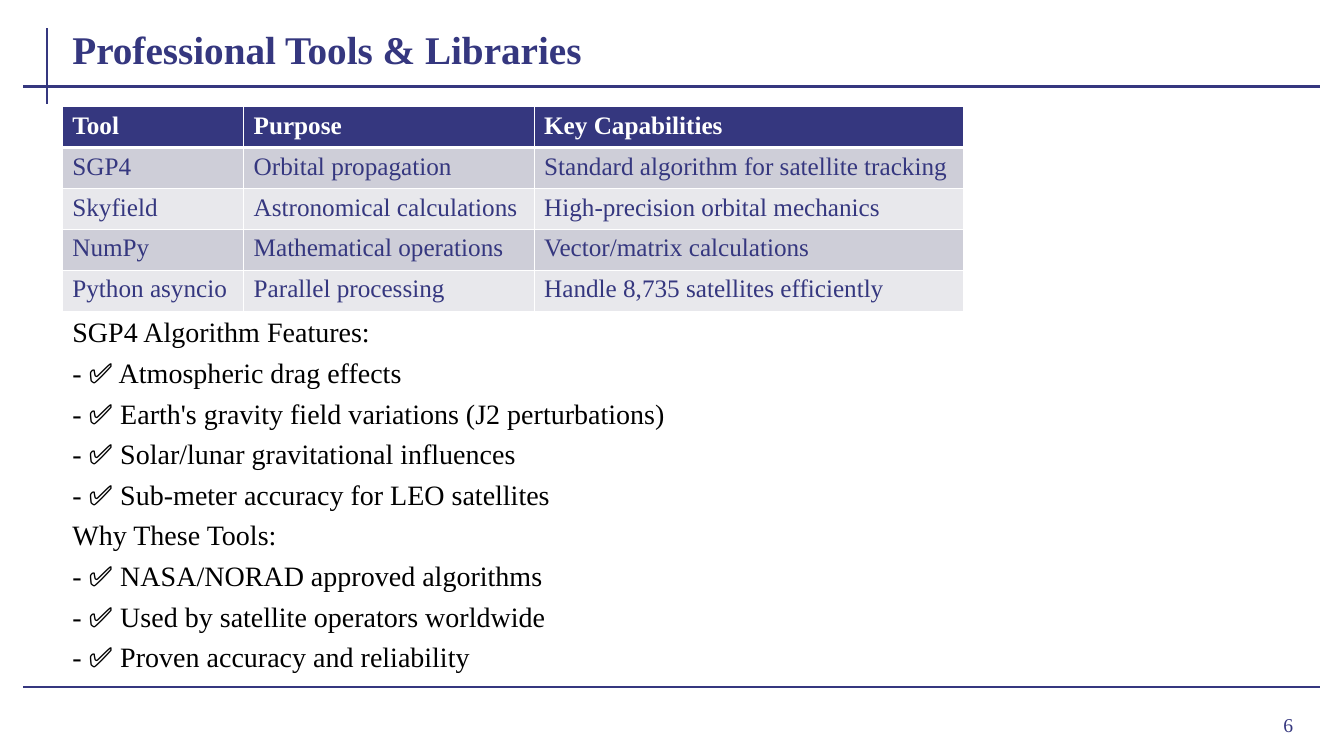
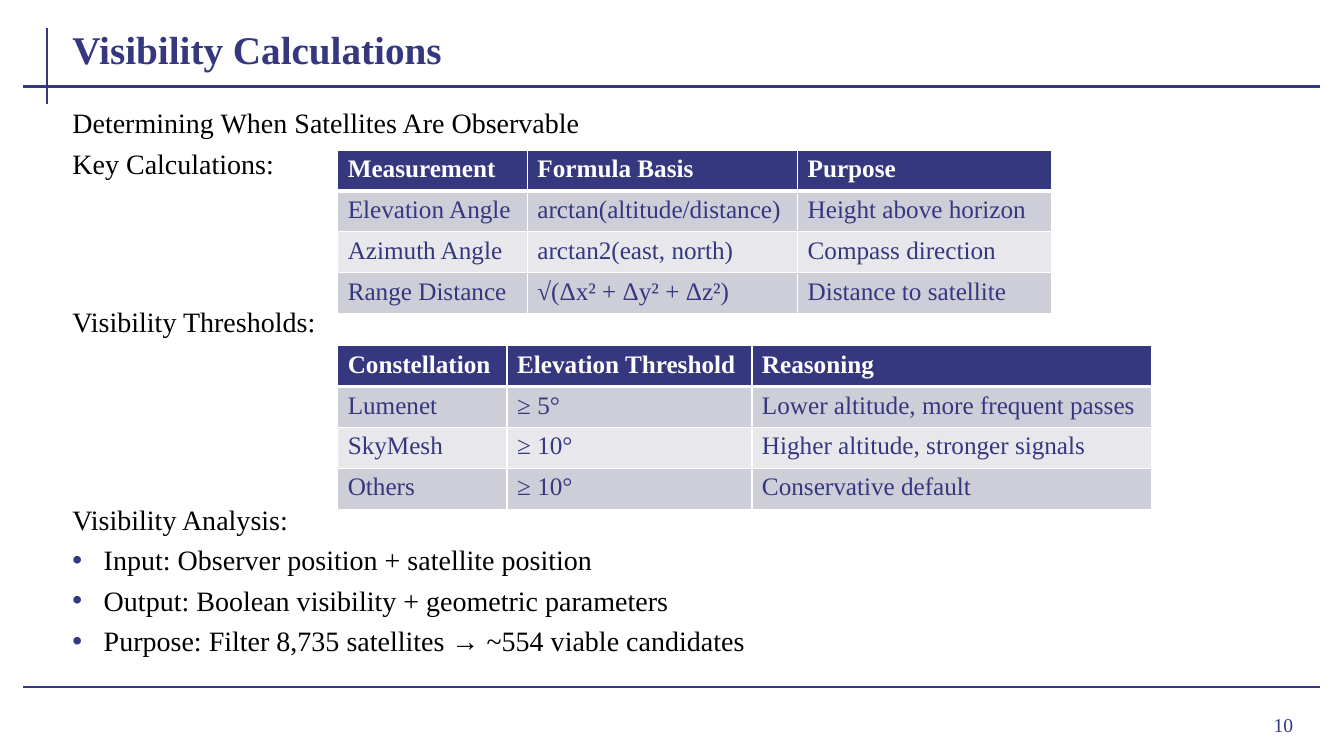
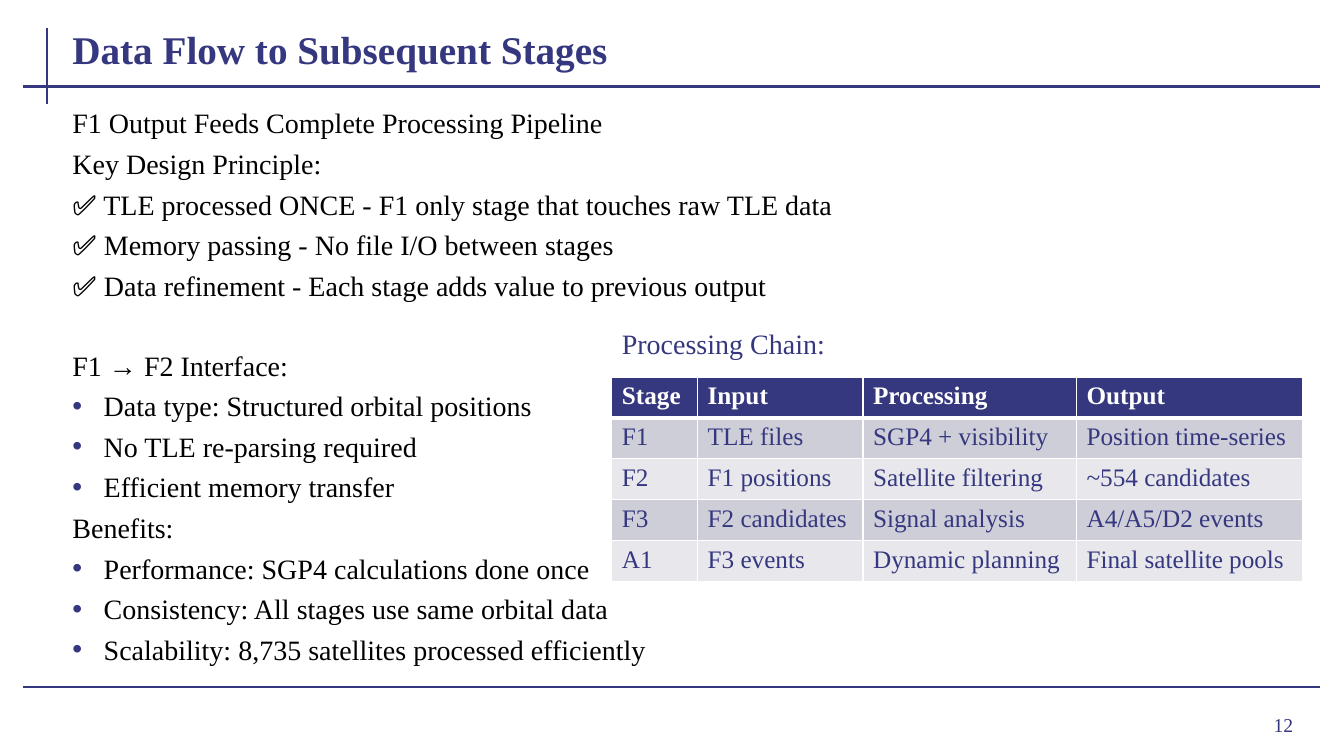
from lxml import etree
from pptx import Presentation
from pptx.dml.color import RGBColor
from pptx.enum.shapes import MSO_CONNECTOR
from pptx.enum.text import MSO_ANCHOR, MSO_AUTO_SIZE, PP_ALIGN
from pptx.oxml.ns import qn
from pptx.util import Cm, Pt

LEFT, RIGHT = PP_ALIGN.LEFT, PP_ALIGN.RIGHT
TOP, MIDDLE, BOTTOM = MSO_ANCHOR.TOP, MSO_ANCHOR.MIDDLE, MSO_ANCHOR.BOTTOM
NO_FIT = MSO_AUTO_SIZE.NONE
STRAIGHT = MSO_CONNECTOR.STRAIGHT

NAVY, WHITE, BLACK = "35377F", "FFFFFF", "000000"
BANDS = ("CECED8", "E8E8EC")
FACE = "Times New Roman"
HEAD = {"size": 28, "bold": True, "color": NAVY}
BODY = {"size": 20, "bold": False, "color": BLACK}
LABEL = {"size": 20, "bold": False, "color": NAVY}
NUMBER = {"size": 14, "bold": False, "color": NAVY}
TOP_ROW = {"size": 18, "bold": True, "color": WHITE}
CELL = {"size": 18, "bold": False, "color": NAVY}

# Lengths in cm: left, top, width, height
WIDE, HIGH = 33.87, 19.05
TITLE_AT = (1.57, 0.38, 31.72, 1.57)
BODY_AT = (1.57, 2.54, 31.72, 14.43)
LOW_AT = (1.57, 7.81, 31.72, 9.16)
NUMBER_AT = (30.38, 17.6, 2.46, 1.32)
RULES = [(1.19, 0.71, 1.19, 2.62),
         (0.58, 2.18, 33.27, 2.18),
         (0.58, 17.32, 33.27, 17.32)]
ROW = 1.03
INDENT = 0.79
GAP, PITCH = 5, 28  # points: space before a line, and line to line

# Body groups: lines skipped above, heading lines, bulleted lines
SLIDES = [
    {
        "title": "Professional Tools & Libraries",
        "number": 6,
        "at": LOW_AT,
        "body": [
            (0, ["SGP4 Algorithm Features:",
                 "- ✅ Atmospheric drag effects",
                 "- ✅ Earth's gravity field variations (J2 perturbations)",
                 "- ✅ Solar/lunar gravitational influences",
                 "- ✅ Sub-meter accuracy for LEO satellites",
                 "Why These Tools:",
                 "- ✅ NASA/NORAD approved algorithms",
                 "- ✅ Used by satellite operators worldwide",
                 "- ✅ Proven accuracy and reliability"], []),
        ],
        "tables": [
            {"at": (1.57, 2.69), "cols": (4.57, 7.32, 10.82), "rows": [
                ("Tool", "Purpose", "Key Capabilities"),
                ("SGP4", "Orbital propagation",
                 "Standard algorithm for satellite tracking"),
                ("Skyfield", "Astronomical calculations",
                 "High-precision orbital mechanics"),
                ("NumPy", "Mathematical operations",
                 "Vector/matrix calculations"),
                ("Python asyncio", "Parallel processing",
                 "Handle 8,735 satellites efficiently"),
            ]},
        ],
        "labels": [],
    },
    {
        "title": "Visibility Calculations",
        "number": 10,
        "at": BODY_AT,
        "body": [
            (0, ["Determining When Satellites Are Observable",
                 "Key Calculations:"], []),
            (3, ["Visibility Thresholds:"], []),
            (4, ["Visibility Analysis:"],
             ["Input: Observer position + satellite position",
              "Output: Boolean visibility + geometric parameters",
              "Purpose: Filter 8,735 satellites → ~554 viable candidates"]),
        ],
        "tables": [
            {"at": (8.51, 3.78), "cols": (4.78, 6.81, 6.4), "rows": [
                ("Measurement", "Formula Basis", "Purpose"),
                ("Elevation Angle", "arctan(altitude/distance)",
                 "Height above horizon"),
                ("Azimuth Angle", "arctan2(east, north)",
                 "Compass direction"),
                ("Range Distance", "√(Δx² + Δy² + Δz²)",
                 "Distance to satellite"),
            ]},
            {"at": (8.51, 8.71), "cols": (4.27, 6.17, 10.06), "rows": [
                ("Constellation", "Elevation Threshold", "Reasoning"),
                ("Lumenet", "≥ 5°", "Lower altitude, more frequent passes"),
                ("SkyMesh", "≥ 10°", "Higher altitude, stronger signals"),
                ("Others", "≥ 10°", "Conservative default"),
            ]},
        ],
        "labels": [],
    },
    {
        "title": "Data Flow to Subsequent Stages",
        "number": 12,
        "at": BODY_AT,
        "body": [
            (0, ["F1 Output Feeds Complete Processing Pipeline",
                 "Key Design Principle:",
                 "✅ TLE processed ONCE - F1 only stage that touches raw TLE data",
                 "✅ Memory passing - No file I/O between stages",
                 "✅ Data refinement - Each stage adds value to previous output"],
             []),
            (1, ["F1 → F2 Interface:"],
             ["Data type: Structured orbital positions",
              "No TLE re-parsing required",
              "Efficient memory transfer"]),
            (0, ["Benefits:"],
             ["Performance: SGP4 calculations done once",
              "Consistency: All stages use same orbital data",
              "Scalability: 8,735 satellites processed efficiently"]),
        ],
        "tables": [
            {"at": (15.42, 9.5), "cols": (2.16, 4.17, 5.38, 5.69), "rows": [
                ("Stage", "Input", "Processing", "Output"),
                ("F1", "TLE files", "SGP4 + visibility",
                 "Position time-series"),
                ("F2", "F1 positions", "Satellite filtering",
                 "~554 candidates"),
                ("F3", "F2 candidates", "Signal analysis", "A4/A5/D2 events"),
                ("A1", "F3 events", "Dynamic planning",
                 "Final satellite pools"),
            ]},
        ],
        "labels": [((15.42, 8.1, 5.74, 1.12), "Processing Chain:")],
    },
]


def rgb(code):
    return RGBColor.from_string(code)


def place(shape, at):
    for name, size in zip(("left", "top", "width", "height"), at):
        setattr(shape, name, Cm(size))


def write(par, text, look, align=LEFT):
    """Fill a paragraph with one run in the given look."""
    par.alignment = align
    run = par.add_run()
    run.text = text
    for name, value in {"name": FACE, "size": Pt(look["size"]),
                        "bold": look["bold"]}.items():
        setattr(run.font, name, value)
    run.font.color.rgb = rgb(look["color"])


def add_xml(parent, tag, **attrs):
    return etree.SubElement(parent, qn(tag), attrs)


def set_mark(par, bullet):
    """Give a paragraph a navy bullet, or take its bullet away."""
    props = par._p.get_or_add_pPr()
    inset = int(Cm(INDENT)) if bullet else 0
    props.set("marL", str(inset))
    props.set("indent", str(-inset))
    if bullet:
        add_xml(add_xml(props, "a:buClr"), "a:srgbClr", val=NAVY)
        add_xml(props, "a:buFont", typeface="Arial")
        add_xml(props, "a:buChar", char="•")
    else:
        add_xml(props, "a:buNone")


def add_body(slide, at, groups):
    shape = slide.placeholders[1]
    place(shape, at)
    frame = shape.text_frame
    first = True
    for skip, heads, points in groups:
        lines = [(text, False) for text in heads]
        lines += [(text, True) for text in points]
        for i, (text, bullet) in enumerate(lines):
            par = frame.paragraphs[0] if first else frame.add_paragraph()
            set_mark(par, bullet)
            space = GAP + (skip * PITCH if i == 0 else 0)
            par.space_before = Pt(0 if first else space)
            write(par, text, BODY)
            first = False


def add_edges(cell, r):
    """Draw white cell borders, thick between the top row and the rest."""
    props = cell._tc.get_or_add_tcPr()
    thick = {"a:lnB": r == 0, "a:lnT": r == 1}
    for tag in ("a:lnL", "a:lnR", "a:lnT", "a:lnB"):
        width = Pt(3 if thick.get(tag) else 1)
        edge = add_xml(props, tag, w=str(int(width)))
        add_xml(add_xml(edge, "a:solidFill"), "a:srgbClr", val=WHITE)


def add_grid(slide, at, cols, rows):
    size = (sum(cols), ROW * len(rows))
    grid = slide.shapes.add_table(len(rows), len(cols),
                                  *map(Cm, at + size)).table
    for col, width in zip(grid.columns, cols):
        col.width = Cm(width)
    for r, row in enumerate(rows):
        grid.rows[r].height = Cm(ROW)
        for c, text in enumerate(row):
            cell = grid.cell(r, c)
            add_edges(cell, r)
            cell.fill.solid()
            cell.fill.fore_color.rgb = rgb(BANDS[(r - 1) % 2] if r else NAVY)
            write(cell.text_frame.paragraphs[0], text, CELL if r else TOP_ROW)


def add_box(slide, at, text, look, align=LEFT, anchor=TOP):
    frame = slide.shapes.add_textbox(*map(Cm, at)).text_frame
    frame.word_wrap = True
    frame.vertical_anchor = anchor
    write(frame.paragraphs[0], text, look, align)


def set_layout(layout):
    for shape, at, anchor in zip(layout.placeholders, (TITLE_AT, BODY_AT),
                                 (BOTTOM, TOP)):
        place(shape, at)
        shape.text_frame.vertical_anchor = anchor
        shape.text_frame.auto_size = NO_FIT


def add_rules(slide):
    """Draw the rules and move them to the layout that all slides share."""
    tree = slide.slide_layout.shapes.element
    for ends in RULES:
        rule = slide.shapes.add_connector(STRAIGHT, *map(Cm, ends))
        rule.line.color.rgb = rgb(NAVY)
        rule.line.width = Pt(1.5)
        add_xml(rule.element.spPr, "a:effectLst")
        tree.append(rule.element)


def main():
    deck = Presentation()
    deck.slide_width, deck.slide_height = Cm(WIDE), Cm(HIGH)
    layout = deck.slide_layouts[1]
    set_layout(layout)
    for page in SLIDES:
        slide = deck.slides.add_slide(layout)
        write(slide.shapes.title.text_frame.paragraphs[0], page["title"], HEAD)
        add_body(slide, page["at"], page["body"])
        for grid in page["tables"]:
            add_grid(slide, **grid)
        for at, text in page["labels"]:
            add_box(slide, at, text, LABEL)
        add_box(slide, NUMBER_AT, str(page["number"]), NUMBER, RIGHT, MIDDLE)
    add_rules(deck.slides[0])
    deck.save("out.pptx")


if __name__ == "__main__":
    main()
